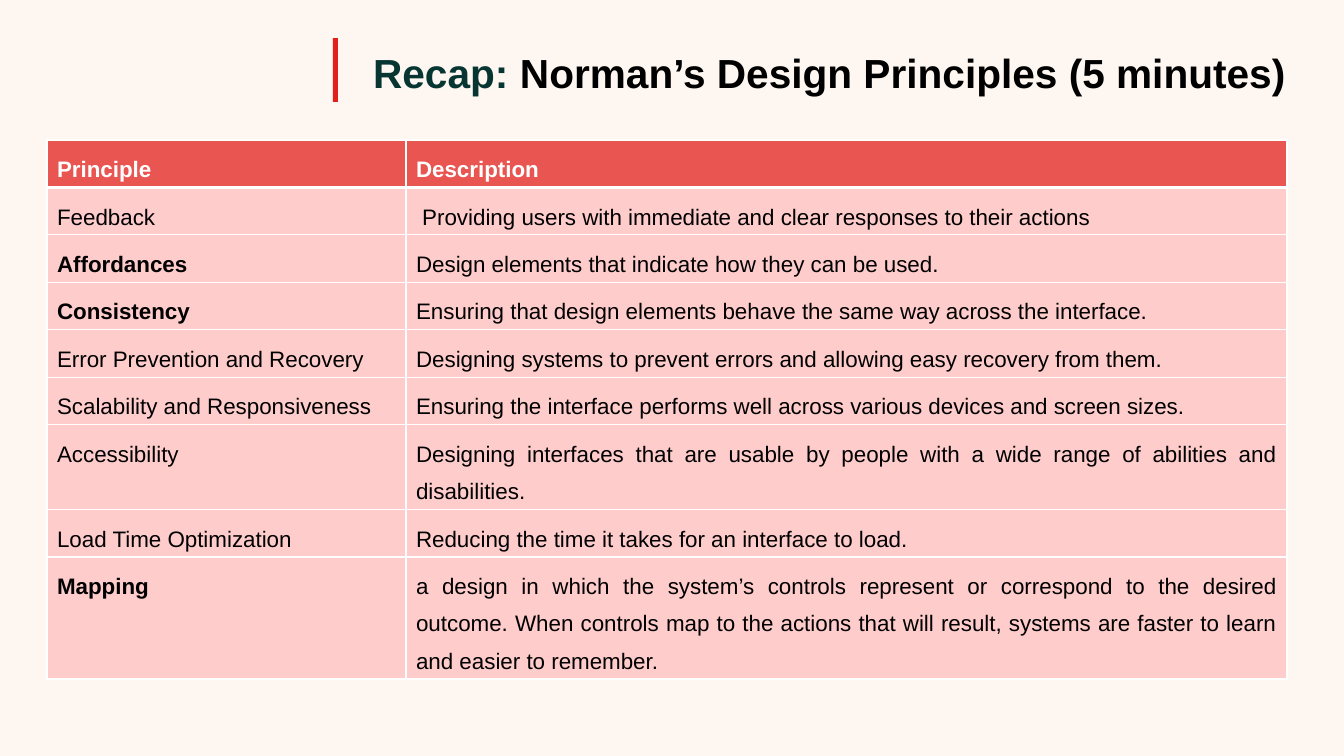
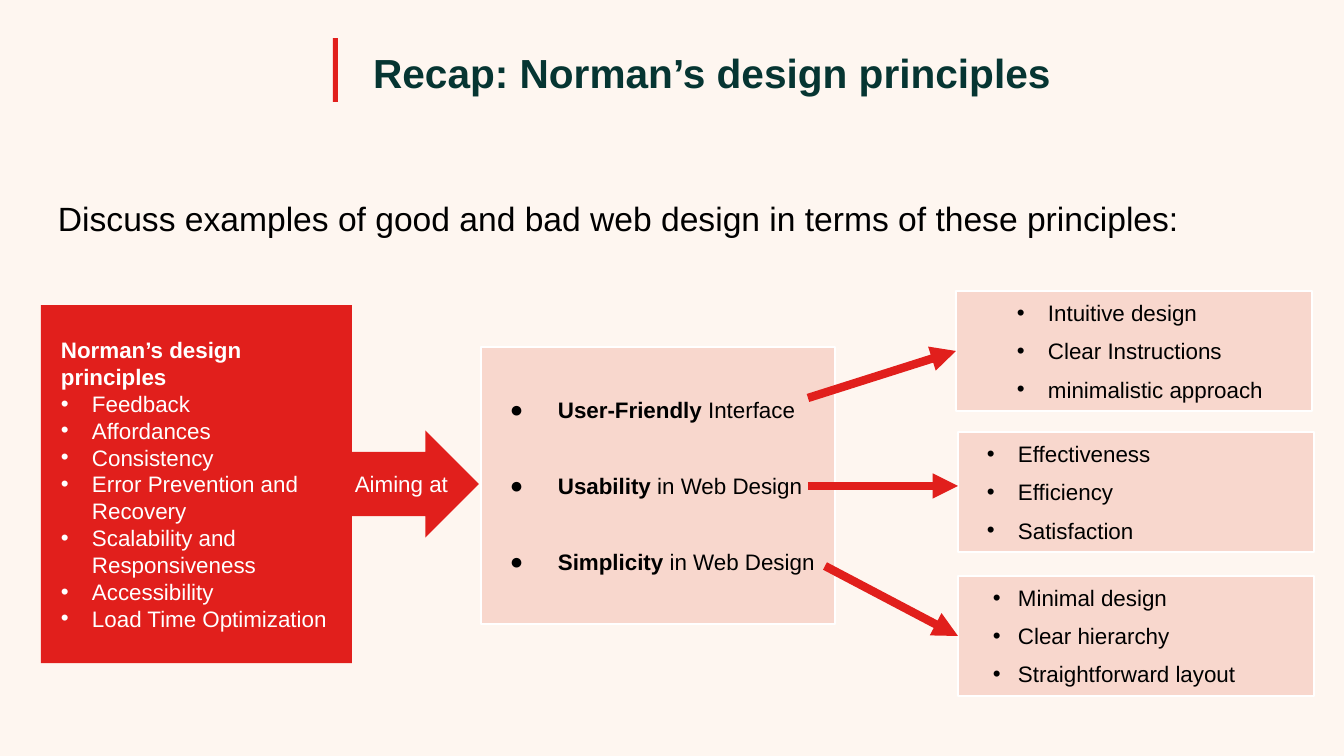
"""Build two slides recapping Norman's design principles."""
from dataclasses import dataclass

from lxml import etree
from pptx import Presentation
from pptx import util as u
from pptx.dml.color import RGBColor
from pptx.enum import shapes, text
from pptx.oxml import ns

PX = 914400 / 100.8


@dataclass(frozen=True)
class Theme:
    font: str = "Arial"
    background: str = "FEF6F0"
    red: str = "E11F1C"
    title: str = "063532"
    ink: str = "000000"
    white: str = "FFFFFF"
    header: str = "E95551"
    row: str = "FFCCCC"
    panel: str = "F8D7CD"
    title_size: int = 29
    prompt_size: int = 24
    body_size: int = 16


theme = Theme()


def write(paragraph, pieces, size, colour, bullet=None):
    """Write (text, bold) or (text, bold, colour) pieces, with an optional (mark, margin, hanging) bullet."""
    if bullet:
        mark, margin, hanging = bullet
        properties = paragraph._p.get_or_add_pPr()
        properties.set("marL", str(round(margin * PX)))
        properties.set("indent", str(round(-hanging * PX)))
        etree.SubElement(properties, ns.qn("a:buFont")).set("typeface", theme.font)
        etree.SubElement(properties, ns.qn("a:buChar")).set("char", mark)
    paragraph.alignment = text.PP_ALIGN.LEFT
    for words, bold, *own_colour in pieces:
        run = paragraph.add_run()
        run.text = words
        run.font.name = theme.font
        run.font.size = u.Pt(size)
        run.font.bold = bold
        run.font.color.rgb = RGBColor.from_string(own_colour[0] if own_colour else colour)


def add_panel(slide, kind, box, fill, line_width=0, inset=10):
    """Add a filled shape, with a white outline when a line width is given."""
    shape = slide.shapes.add_shape(kind, *(round(length * PX) for length in box))
    shape.shadow.inherit = False
    shape.fill.solid()
    shape.fill.fore_color.rgb = RGBColor.from_string(fill)
    if line_width:
        shape.line.color.rgb = RGBColor.from_string(theme.white)
        shape.line.width = u.Pt(line_width)
    else:
        shape.line.fill.background()
    frame = shape.text_frame
    frame.word_wrap = True
    frame.vertical_anchor = text.MSO_ANCHOR.MIDDLE
    frame.margin_left = frame.margin_right = round(inset * PX)
    return shape


presentation = Presentation()
presentation.slide_width = round(1344 * PX)
presentation.slide_height = round(756 * PX)
master_fill = presentation.slide_master.background.fill
master_fill.solid()
master_fill.fore_color.rgb = RGBColor.from_string(theme.background)

layout = presentation.slide_layouts.get_by_name("Title Only")
layout_title = layout.placeholders[0]
layout_title.left, layout_title.top = round(363 * PX), round(18 * PX)
layout_title.width, layout_title.height = round(954 * PX), round(84 * PX)

titles = [
    [("Recap: ", True), ("Norman’s Design Principles (5 minutes)", True, theme.ink)],
    [("Recap: Norman’s design principles", True)],
]
for pieces in titles:
    slide = presentation.slides.add_slide(layout)
    frame = slide.shapes.title.text_frame
    frame.auto_size = text.MSO_AUTO_SIZE.NONE
    frame.vertical_anchor = text.MSO_ANCHOR.BOTTOM
    frame.paragraphs[0].line_spacing = 0.9
    write(frame.paragraphs[0], pieces, theme.title_size, theme.title)
table_slide, diagram_slide = presentation.slides

title_bar = add_panel(table_slide, shapes.MSO_SHAPE.RECTANGLE, (333, 38, 5, 64), theme.red)
title_bar._element.nvSpPr.cNvPr.set("id", "20")
layout.shapes._spTree.append(title_bar._element)

principles = [
    ("Principle", "Description"),
    ("Feedback", " Providing users with immediate and clear responses to their actions"),
    ("Affordances", "Design elements that indicate how they can be used."),
    ("Consistency", "Ensuring that design elements behave the same way across the interface."),
    ("Error Prevention and Recovery", "Designing systems to prevent errors and allowing easy recovery from them."),
    ("Scalability and Responsiveness",
     "Ensuring the interface performs well across various devices and screen sizes."),
    ("Accessibility",
     "Designing interfaces that are usable by people with a wide range of abilities and disabilities."),
    ("Load Time Optimization", "Reducing the time it takes for an interface to load."),
    ("Mapping",
     "a design in which the system’s controls represent or correspond to the desired outcome. "
     "When controls map to the actions that will result, systems are faster to learn and easier to remember."),
]
bold_words = {"Principle", "Description", "Affordances", "Consistency", "Mapping"}
row_heights = [47] * 6 + [85, 47, 122]
table = table_slide.shapes.add_table(
    len(principles), 2, *(round(length * PX) for length in (47, 140, 1240, sum(row_heights)))
).table
for column, width in zip(table.columns, (359, 881)):
    column.width = round(width * PX)
for row_index, (row, height) in enumerate(zip(table.rows, row_heights)):
    row.height = round(height * PX)
    is_header = row_index == 0
    border_widths = {"lnL": 1, "lnR": 1, "lnT": 3 if row_index == 1 else 1, "lnB": 3 if is_header else 1}
    for cell, words in zip(row.cells, principles[row_index]):
        cell_properties = cell._tc.get_or_add_tcPr()
        for side, width in border_widths.items():
            border = etree.SubElement(cell_properties, ns.qn(f"a:{side}"), w=str(u.Pt(width)))
            border_fill = etree.SubElement(border, ns.qn("a:solidFill"))
            etree.SubElement(border_fill, ns.qn("a:srgbClr"), val=theme.white)
        cell.fill.solid()
        cell.fill.fore_color.rgb = RGBColor.from_string(theme.header if is_header else theme.row)
        paragraph = cell.text_frame.paragraphs[0]
        write(paragraph, [(words, words in bold_words)], theme.body_size,
              theme.white if is_header else theme.ink)
        paragraph.alignment = text.PP_ALIGN.JUSTIFY
        paragraph.line_spacing = 1.5

aims_panel = add_panel(diagram_slide, shapes.MSO_SHAPE.RECTANGLE, (481, 347, 354, 277), theme.panel, 1.5)
aims = [("User-Friendly", " Interface"), ("Usability", " in Web Design"), ("Simplicity", " in Web Design")]
for index, (name, rest) in enumerate(aims):
    frame = aims_panel.text_frame
    paragraph = frame.add_paragraph() if index else frame.paragraphs[0]
    write(paragraph, [(name, True), (rest, False)], theme.body_size, theme.ink, ("●", 67, 48))
    paragraph.space_after = u.Pt(35)

callout = add_panel(
    diagram_slide, shapes.MSO_SHAPE.RIGHT_ARROW_CALLOUT, (41, 305, 438, 358), theme.red, inset=20
)
for index, value in enumerate((0.18, 0.15, 0.15, 0.71)):
    callout.adjustments[index] = value
write(callout.text_frame.paragraphs[0], [("Norman’s design principles", True)], theme.body_size, theme.white)
for name, _ in principles[1:-1]:
    write(callout.text_frame.add_paragraph(), [(name, False)], theme.body_size, theme.white, ("•", 31, 31))

labels = [
    ("Aiming at", (345, 465, 120, 37), theme.body_size, theme.white),
    ("Discuss examples of good and bad web design in terms of these principles:",
     (48, 193, 1264, 50), theme.prompt_size, theme.ink),
]
for words, box, size, colour in labels:
    label = diagram_slide.shapes.add_textbox(*(round(length * PX) for length in box))
    label.text_frame.word_wrap = True
    write(label.text_frame.paragraphs[0], [(words, False)], size, colour)

goals = [
    (956, 291, (808, 398), 351, (82, 31), ("Intuitive design", "Clear Instructions", "minimalistic approach")),
    (958, 432, (808, 486), 486, (50, 31), ("Effectiveness", "Efficiency", "Satisfaction")),
    (958, 576, (825, 566), 636, (50, 25), ("Minimal design", "Clear hierarchy", "Straightforward layout")),
]
goal_height = 120
for left, top, start, end_y, indents, names in goals:
    goal = add_panel(
        diagram_slide, shapes.MSO_SHAPE.RECTANGLE, (left, top, 356, goal_height), theme.panel, 1
    )
    for index, name in enumerate(names):
        frame = goal.text_frame
        paragraph = frame.add_paragraph() if index else frame.paragraphs[0]
        write(paragraph, [(name, False)], theme.body_size, theme.ink, ("•", *indents))
        paragraph.space_after = u.Pt(8)
    arrow = diagram_slide.shapes.add_connector(
        shapes.MSO_CONNECTOR.STRAIGHT, *(round(length * PX) for length in (*start, left, end_y))
    )
    if end_y == top + goal_height // 2:
        arrow.end_connect(goal, 1)
    arrow.line.color.rgb = RGBColor.from_string(theme.red)
    arrow.line.width = u.Pt(6)
    etree.SubElement(arrow.line._get_or_add_ln(), ns.qn("a:tailEnd"), type="triangle")
    etree.SubElement(arrow._element.spPr, ns.qn("a:effectLst"))

presentation.save("out.pptx")
